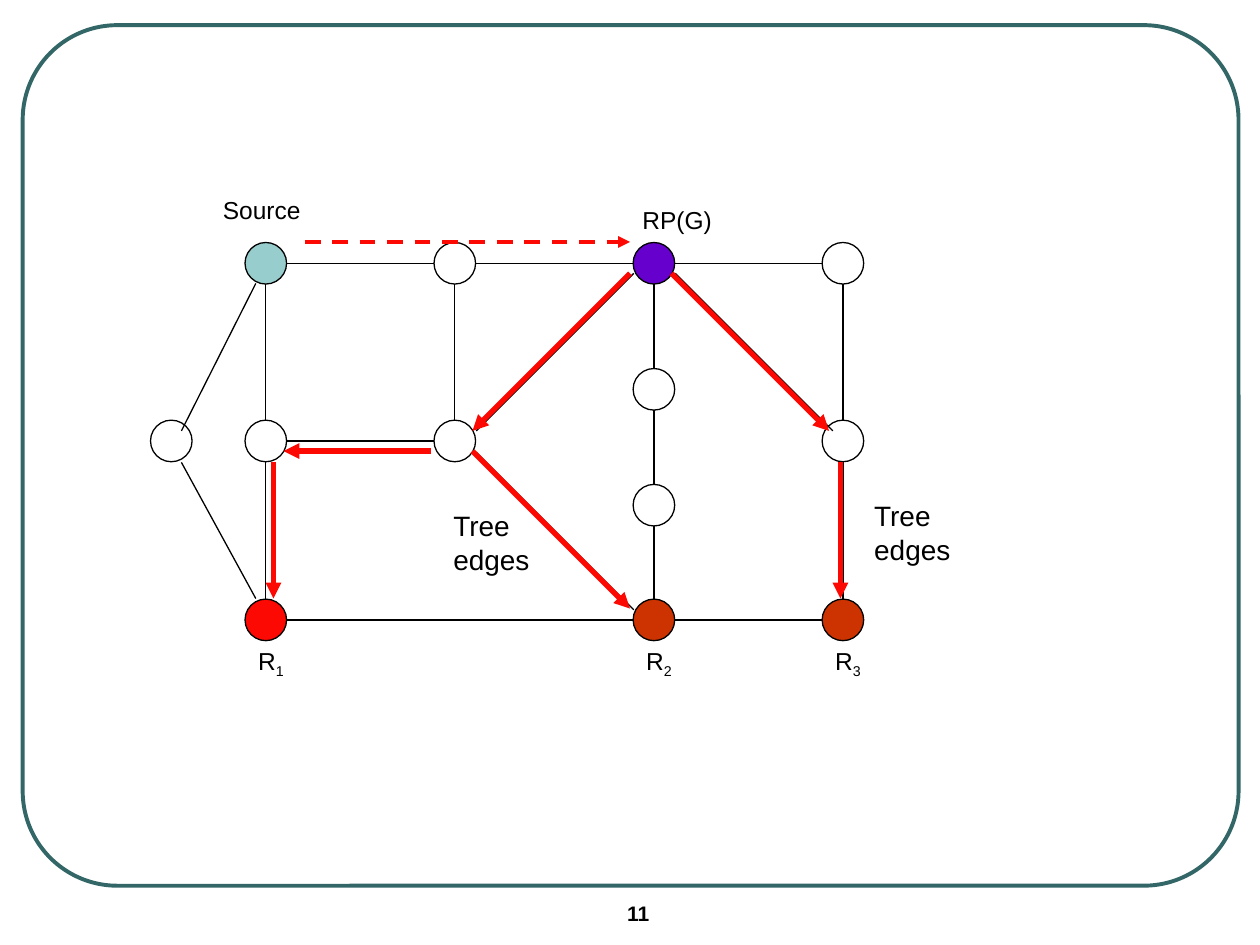
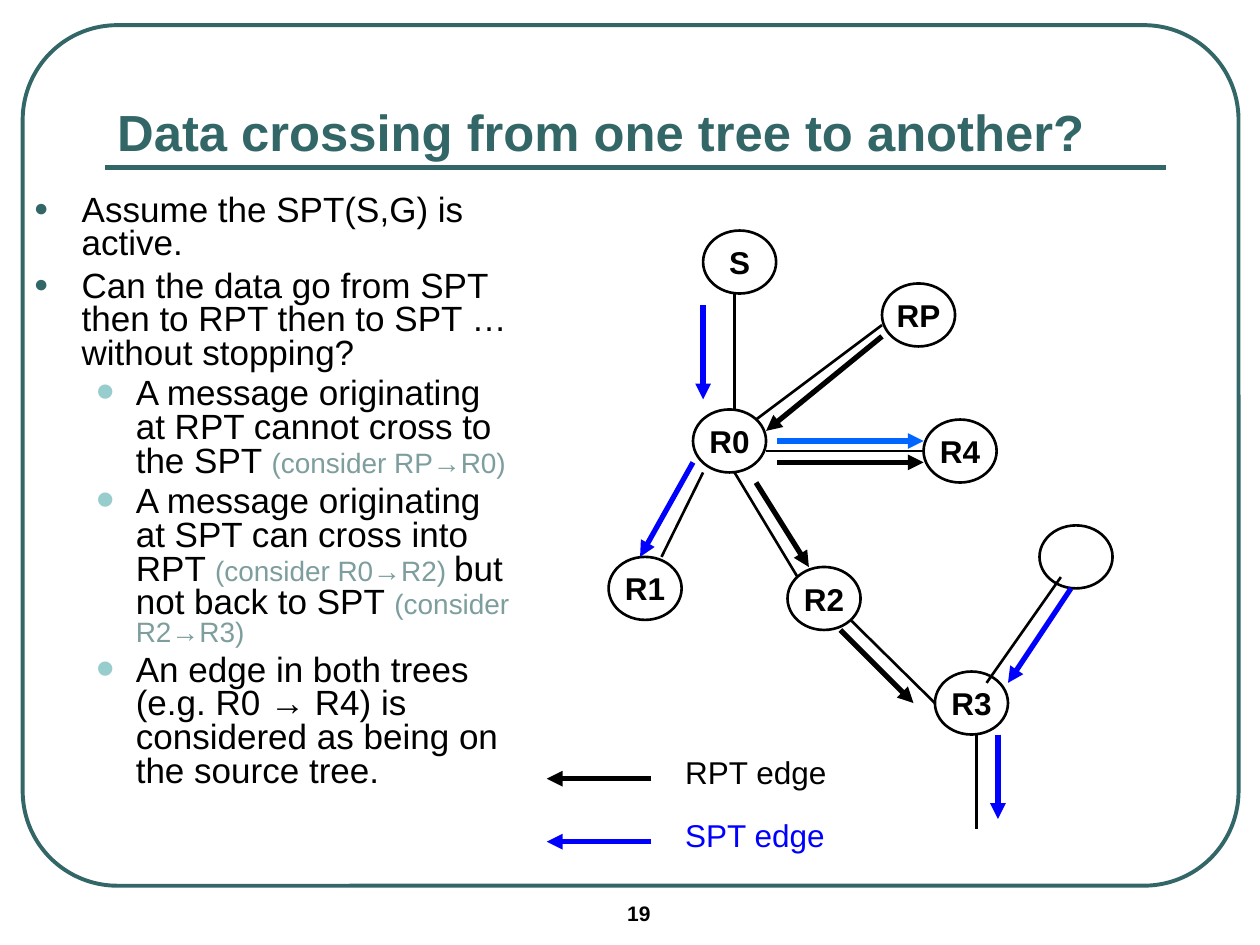
from lxml import etree
from pptx import Presentation
from pptx.dml.color import RGBColor
from pptx.enum.dml import MSO_LINE
from pptx.enum.shapes import MSO_CONNECTOR, MSO_SHAPE
from pptx.enum.text import MSO_ANCHOR, MSO_AUTO_SIZE, PP_ALIGN
from pptx.oxml.ns import qn
from pptx.util import Inches, Pt

STRAIGHT = MSO_CONNECTOR.STRAIGHT
ELLIPSE, ROUNDED = MSO_SHAPE.OVAL, MSO_SHAPE.ROUNDED_RECTANGLE
DASH = MSO_LINE.DASH
CENTER, LEFT = PP_ALIGN.CENTER, PP_ALIGN.LEFT
MIDDLE, BOTTOM = MSO_ANCHOR.MIDDLE, MSO_ANCHOR.BOTTOM
NO_AUTOFIT = MSO_AUTO_SIZE.NONE

FONT = "Arial"
TITLE_ONLY, BLANK = 5, 6
COLORS = {
    "black": "000000", "white": "FFFFFF", "teal": "336666", "aqua": "97CDCC",
    "sage": "7D9E9D", "red": "FD0903", "rust": "CC3300", "purple": "6600CC",
    "blue": "0000FF", "sky": "0066FF",
}

# Bullet levels: indent and hanging in inches, space before in points
LEVELS = [
    {"indent": 0.38, "hanging": 0.38, "before": 5,
     "char": "●", "color": "teal", "percent": 70},
    {"indent": 0.81, "hanging": 0.31, "before": 4,
     "char": "•", "color": "aqua", "percent": 150},
]

# Multicast graph: node centres lie on these columns and rows
ROUTER_SIZE = 0.33
COLUMNS = {"far": 1.36, "a": 2.11, "b": 3.61, "c": 5.19, "d": 6.69}
ROWS = {"top": 2.09, "upper": 3.09, "mid": 3.5, "lower": 4.01, "bottom": 4.92}
ROUTERS = {
    "a top": "aqua", "b top": "white", "c top": "purple", "d top": "white",
    "far mid": "white", "a mid": "white", "b mid": "white", "d mid": "white",
    "c upper": "white", "c lower": "white",
    "a bottom": "red", "c bottom": "rust", "d bottom": "rust",
}
GRID_LINKS = [
    ("a top", "b top"), ("b top", "c top"), ("c top", "d top"),
    ("a top", "a mid"), ("a mid", "a bottom"), ("b top", "b mid"),
    ("c top", "c upper"), ("c upper", "c lower"), ("c lower", "c bottom"),
    ("d top", "d mid"), ("d mid", "d bottom"),
    ("a mid", "b mid"), ("a bottom", "c bottom"), ("c bottom", "d bottom"),
]
SLANTED_LINKS = [
    ((5.36, 2.17), (6.61, 3.42)), ((5.03, 2.17), (3.78, 3.42)),
    ((3.78, 3.59), (5.03, 4.84)),
    ((2.03, 2.25), (1.44, 3.42)), ((1.44, 3.67), (2.03, 4.75)),
]
TREE_EDGES = [
    ((5, 2.17), (3.75, 3.42)), ((5.33, 2.17), (6.58, 3.42)),
    ((3.75, 3.58), (5, 4.83)), ((6.67, 3.67), (6.67, 4.75)),
    ((3.42, 3.58), (2.25, 3.58)), ((2.17, 3.67), (2.17, 4.75)),
]

# Crossing trees: top left corner of each node
PEER_SIZE = (0.58, 0.5)
PEERS = [
    ("S", 5.58, 1.83), ("RP", 7, 2.25), ("R0", 5.5, 3.25), ("R4", 7.33, 3.33),
    ("R1", 4.83, 4.42), ("R2", 6.25, 4.5), ("R3", 7.42, 5.33), ("", 8.25, 4.17),
]
PEER_LINKS = [
    ((5.83, 2.33), (5.83, 3.25)), ((7, 2.58), (6, 3.33)),
    ((7.33, 3.58), (6.08, 3.58)), ((5.25, 4.42), (5.58, 3.75)),
    ((5.83, 3.75), (6.33, 4.58)), ((6.75, 4.92), (7.42, 5.58)),
    ((7.83, 5.42), (8.42, 4.58)), ((7.75, 5.83), (7.75, 6.58)),
]
FLOWS = {
    "black": [
        ((7, 2.67), (6.08, 3.42)), ((6.17, 3.67), (7.33, 3.67)),
        ((6, 3.83), (6.42, 4.5)), ((6.67, 5), (7.25, 5.58)),
    ],
    "blue": [
        ((5.58, 2.42), (5.58, 3.17)), ((5.5, 3.67), (5.08, 4.42)),
        ((8.5, 4.67), (8, 5.42)), ((7.92, 5.83), (7.92, 6.5)),
    ],
    "sky": [((6.17, 3.5), (7.33, 3.5))],
}
LEGEND = [("RPT edge", "black", 6.18), ("SPT edge", "blue", 6.68)]

# Each point: level, then pieces of text; the pieces at odd places are asides
POINTS = [
    (0, ["Assume the SPT(S,G) is active."]),
    (0, ["Can the data go from SPT then to RPT then to SPT … without stopping?"]),
    (1, ["A message originating at RPT cannot cross to the SPT ",
         "(consider RP→R0)"]),
    (1, ["A message originating at SPT can cross into RPT ",
         "(consider R0→R2) ", "but not back to SPT ", "(consider R2→R3)"]),
    (1, ["An edge in both trees (e.g. R0 → R4) is considered as being on "
         "the source tree."]),
]


def rgb(name):
    return RGBColor.from_string(COLORS[name])


def write(paragraph, text, size=14, color="black", bold=False, baseline=0):
    """Append a run; baseline is a shift in percent of the text size."""
    run = paragraph.add_run()
    run.text = text
    run.font.name = FONT
    run.font.size = Pt(size)
    run.font.bold = bold
    run.font.color.rgb = rgb(color)
    if baseline:
        run.font._element.set("baseline", str(baseline * 1000))


def add_text_box(slide, left, top, width, height):
    frame = slide.shapes.add_textbox(
        Inches(left), Inches(top), Inches(width), Inches(height)).text_frame
    frame.word_wrap = True
    return frame


def add_label(slide, text, left, top, width, subscript="", **style):
    paragraph = add_text_box(slide, left, top, width, 0.34).paragraphs[0]
    write(paragraph, text, **style)
    if subscript:
        write(paragraph, subscript, baseline=-25, **style)


def add_outline(slide, kind, left, top, width, height, color, weight, fill=None):
    shape = slide.shapes.add_shape(
        kind, Inches(left), Inches(top), Inches(width), Inches(height))
    shape.shadow.inherit = False
    if fill:
        shape.fill.solid()
        shape.fill.fore_color.rgb = rgb(fill)
    else:
        shape.fill.background()
    shape.line.color.rgb = rgb(color)
    shape.line.width = Pt(weight)
    return shape


def add_line(slide, start, end, color="black", weight=0.75, arrow=False, dash=None):
    line = slide.shapes.add_connector(
        STRAIGHT, *(Inches(value) for value in (*start, *end)))
    line.line.color.rgb = rgb(color)
    line.line.width = Pt(weight)
    if dash:
        line.line.dash_style = dash
    if arrow:
        outline = line.line._get_or_add_ln()
        etree.SubElement(outline, qn("a:tailEnd"), type="triangle")
    etree.SubElement(line._element.spPr, qn("a:effectLst"))


def add_frame(slide, number):
    """Draw the rounded border and the page number below it."""
    border = add_outline(slide, ROUNDED, 0.18, 0.2, 9.65, 6.83, "teal", 2.25)
    border.adjustments[0] = 0.11
    add_label(slide, number, 4.88, 7.1, 1.17, size=12, bold=True)


def add_title(slide, text):
    title = slide.shapes.title
    title.left, title.top = Inches(0.83), Inches(0.58)
    title.width, title.height = Inches(8.42), Inches(0.75)
    frame = title.text_frame
    frame.vertical_anchor = BOTTOM
    frame.auto_size = NO_AUTOFIT
    frame.paragraphs[0].alignment = LEFT
    write(frame.paragraphs[0], text, size=29, color="teal", bold=True)
    add_line(slide, (0.83, 1.33), (9.25, 1.33), "teal", 3)


def set_bullet(paragraph, level):
    paragraph.line_spacing = 0.8
    paragraph.space_before = Pt(level["before"])
    props = paragraph._p.get_or_add_pPr()
    props.set("marL", str(Inches(level["indent"])))
    props.set("indent", str(-Inches(level["hanging"])))
    color = etree.SubElement(props, qn("a:buClr"))
    etree.SubElement(color, qn("a:srgbClr"), val=COLORS[level["color"]])
    etree.SubElement(props, qn("a:buSzPct"), val=str(level["percent"] * 1000))
    etree.SubElement(props, qn("a:buFont"), typeface=FONT)
    etree.SubElement(props, qn("a:buChar"), char=level["char"])


def add_points(slide):
    frame = add_text_box(slide, 0.17, 1.5, 4, 5.33)
    for index, (level, pieces) in enumerate(POINTS):
        paragraph = frame.add_paragraph() if index else frame.paragraphs[0]
        paragraph.level = level
        set_bullet(paragraph, LEVELS[level])
        for place, piece in enumerate(pieces):
            if place % 2:
                write(paragraph, piece, size=16, color="sage")
            else:
                write(paragraph, piece, size=20)


def router_center(name):
    column, row = name.split()
    return COLUMNS[column], ROWS[row]


def add_router(slide, name, fill):
    x, y = router_center(name)
    radius = ROUTER_SIZE / 2
    add_outline(slide, ELLIPSE, x - radius, y - radius, ROUTER_SIZE, ROUTER_SIZE,
                "black", 0.75, fill)


def add_grid_link(slide, first, second):
    """Join two routers in one row or column, from rim to rim."""
    (x1, y1), (x2, y2) = router_center(first), router_center(second)
    radius = ROUTER_SIZE / 2
    dx, dy = (radius, 0) if y1 == y2 else (0, radius)
    add_line(slide, (x1 + dx, y1 + dy), (x2 - dx, y2 - dy))


def add_peer(slide, name, left, top):
    peer = add_outline(slide, ELLIPSE, left, top, *PEER_SIZE, "black", 1.5)
    if name:
        frame = peer.text_frame
        frame.word_wrap = False
        frame.vertical_anchor = MIDDLE
        frame.paragraphs[0].alignment = CENTER
        write(frame.paragraphs[0], name, size=18, bold=True)


def build_shared_tree(prs):
    slide = prs.slides.add_slide(prs.slide_layouts[BLANK])
    add_frame(slide, "11")
    for name, fill in ROUTERS.items():
        add_router(slide, name, fill)
    for first, second in GRID_LINKS:
        add_grid_link(slide, first, second)
    for start, end in SLANTED_LINKS:
        add_line(slide, start, end)
    for start, end in TREE_EDGES:
        add_line(slide, start, end, "red", 3, arrow=True)
    add_line(slide, (2.42, 1.92), (5, 1.92), "red", 2.25, arrow=True, dash=DASH)

    add_label(slide, "Source", 1.67, 1.5, 0.9)
    add_label(slide, "RP(G)", 5, 1.58, 0.9)
    for number, column in enumerate("acd", start=1):
        add_label(slide, "R", COLUMNS[column] - 0.16, 5.08, 0.6,
                  subscript=str(number))
    for left, top in [(3.5, 3.99), (6.84, 3.91)]:
        frame = add_text_box(slide, left, top, 0.9, 0.64)
        write(frame.paragraphs[0], "Tree", size=16)
        write(frame.add_paragraph(), "edges", size=16)


def build_crossing_trees(prs):
    slide = prs.slides.add_slide(prs.slide_layouts[TITLE_ONLY])
    add_frame(slide, "19")
    add_title(slide, "Data crossing from one tree to another?")
    add_points(slide)
    for name, left, top in PEERS:
        add_peer(slide, name, left, top)
    for start, end in PEER_LINKS:
        add_line(slide, start, end, weight=1.5)
    for color, arrows in FLOWS.items():
        for start, end in arrows:
            add_line(slide, start, end, color, 3, arrow=True)
    for text, color, y in LEGEND:
        add_line(slide, (5.17, y), (4.34, y), color, 3, arrow=True)
        add_label(slide, text, 5.34, y - 0.25, 1.5, size=18, color=color)


def main():
    prs = Presentation()
    prs.slide_width, prs.slide_height = Inches(10), Inches(7.5)
    build_shared_tree(prs)
    build_crossing_trees(prs)
    prs.save("out.pptx")


if __name__ == "__main__":
    main()
